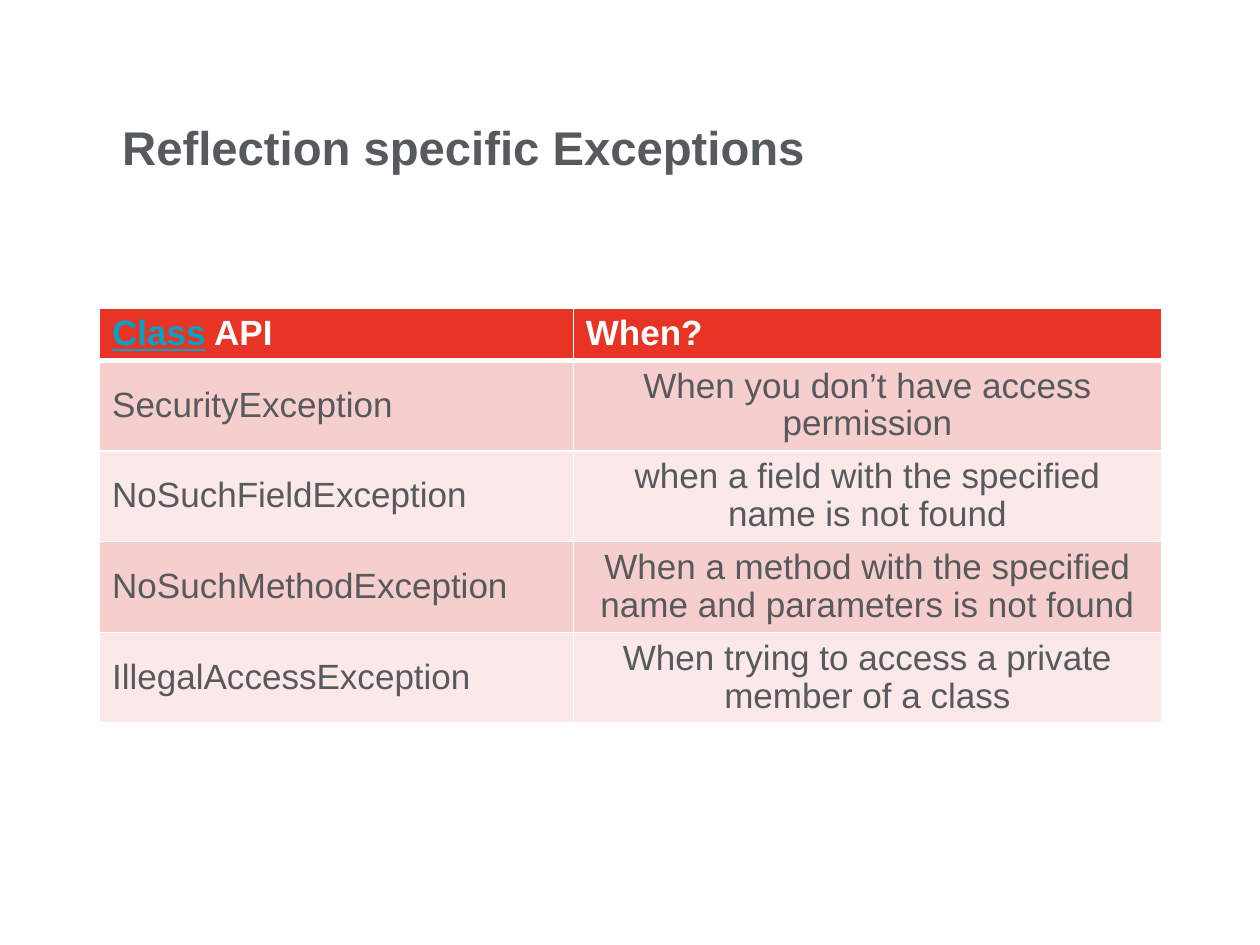
from lxml import etree
from pptx import Presentation
from pptx.dml.color import RGBColor
from pptx.enum import text
from pptx.oxml import ns
from pptx.util import Inches, Pt

WHITE, GREY, RED, LINK = "FFFFFF", "565A5C", "E83424", "00A3CA"
BANDS = ("F6CECD", "FBE8E8")
EXCEPTIONS = [
    ("SecurityException", "When you don’t have access permission"),
    ("NoSuchFieldException", "when a field with the specified name is not found"),
    ("NoSuchMethodException",
     "When a method with the specified name and parameters is not found"),
    ("IllegalAccessException", "When trying to access a private member of a class"),
]


def paint(fill, color):
    """Make a fill solid in the given hex colour."""
    fill.solid()
    fill.fore_color.rgb = RGBColor.from_string(color)


def style_run(r, size, color, bold=False):
    """Format one run of text."""
    r.font.name, r.font.size, r.font.bold = "Arial", Pt(size), bold
    paint(r.font.fill, color)


def add_borders(cell, bottom):
    """Draw white cell borders, with the bottom width in points."""
    tcPr = cell._tc.get_or_add_tcPr()
    for i, (side, width) in enumerate(zip("LRTB", (1, 1, 1, bottom))):
        ln = etree.Element(ns.qn(f"a:ln{side}"), w=str(Pt(width)))
        fill = etree.SubElement(ln, ns.qn("a:solidFill"))
        etree.SubElement(fill, ns.qn("a:srgbClr"), val=WHITE)
        tcPr.insert(i, ln)


def fill_cell(cell, runs, fill, bold=False, align=None, bottom=1):
    """Write (text, colour) runs into a cell and format it."""
    paint(cell.fill, fill)
    add_borders(cell, bottom)
    cell.vertical_anchor = text.MSO_ANCHOR.MIDDLE
    p = cell.text_frame.paragraphs[0]
    p.alignment, p.line_spacing = align, 0.97
    for words, color in runs:
        r = p.add_run()
        r.text = words
        style_run(r, 20, color, bold)


def add_title(s, left, top, width, height):
    """Place the title placeholder in its box."""
    sp = s.shapes.title
    sp.left, sp.top, sp.width, sp.height = map(Inches, (left, top, width, height))
    paint(sp.fill, WHITE)
    tf = sp.text_frame
    tf.text = "Reflection specific Exceptions"
    tf.auto_size = text.MSO_AUTO_SIZE.NONE
    tf.vertical_anchor = text.MSO_ANCHOR.TOP
    tf.margin_left = Inches(0.04)
    tf.margin_right = tf.margin_top = tf.margin_bottom = 0
    p = tf.paragraphs[0]
    p.alignment, p.line_spacing = text.PP_ALIGN.LEFT, 0.87
    style_run(p.runs[0], 27, GREY, True)


def add_exceptions(s, left, top, width, header=0.41, row=0.72):
    """Add the table of exceptions, with a header and banded rows."""
    height = header + row * len(EXCEPTIONS)
    table = s.shapes.add_table(len(EXCEPTIONS) + 1, 2,
                               *map(Inches, (left, top, width, height))).table
    table.columns[0].width = Inches(3.76)
    table.columns[1].width = Inches(width - 3.76)
    for i, table_row in enumerate(table.rows):
        table_row.height = Inches(row if i else header)
    headings = ([("Class", LINK), (" API", WHITE)], [("When?", WHITE)])
    for col, runs in enumerate(headings):
        fill_cell(table.cell(0, col), runs, RED, bold=True, bottom=3)
    table.cell(0, 0).text_frame.paragraphs[0].runs[0].font.underline = True
    for i, (name, reason) in enumerate(EXCEPTIONS):
        band = BANDS[i % 2]
        fill_cell(table.cell(i + 1, 0), [(name, GREY)], band)
        fill_cell(table.cell(i + 1, 1), [(reason, GREY)], band,
                  align=text.PP_ALIGN.CENTER)


prs = Presentation()
prs.slide_width, prs.slide_height = Inches(10), Inches(7.5)
s = prs.slides.add_slide(prs.slide_layouts[5])
paint(s.background.fill, WHITE)
add_title(s, 0.93, 1, 5.64, 0.54)
add_exceptions(s, 0.79, 2.45, 8.43)
prs.save("out.pptx")
